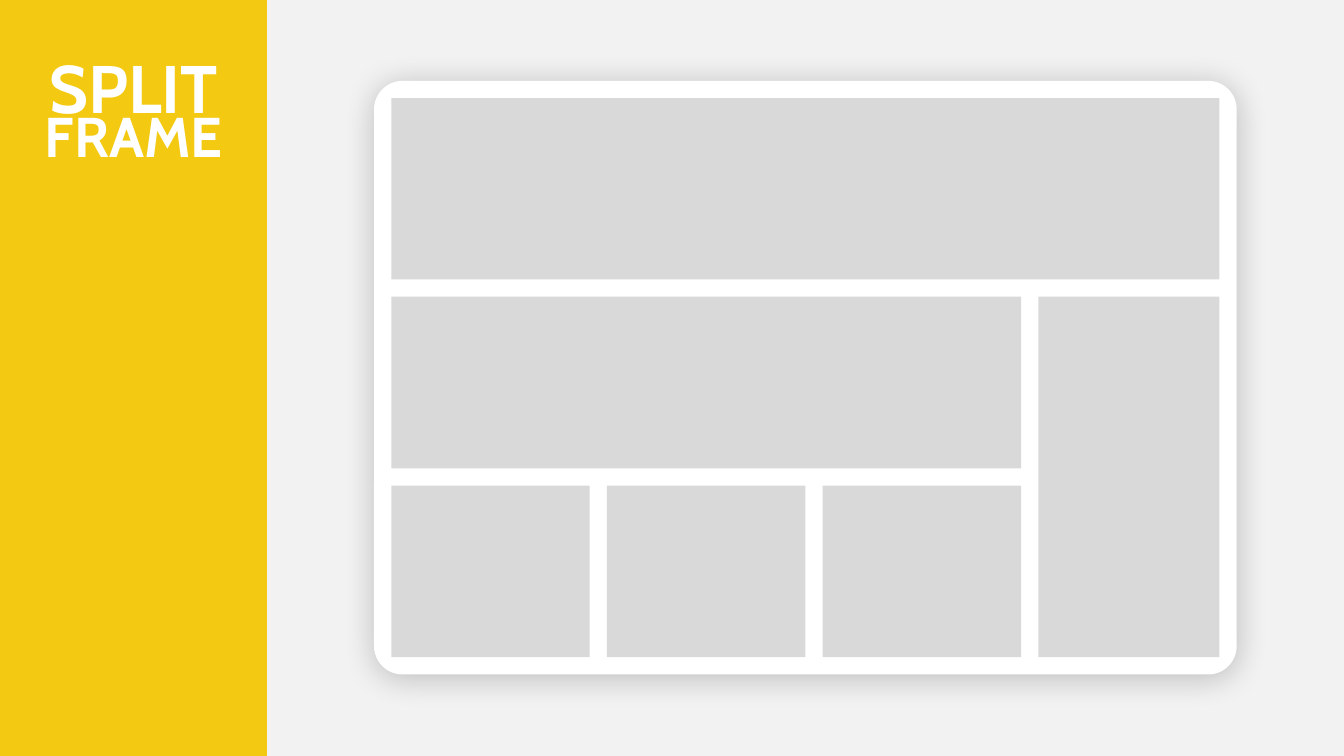
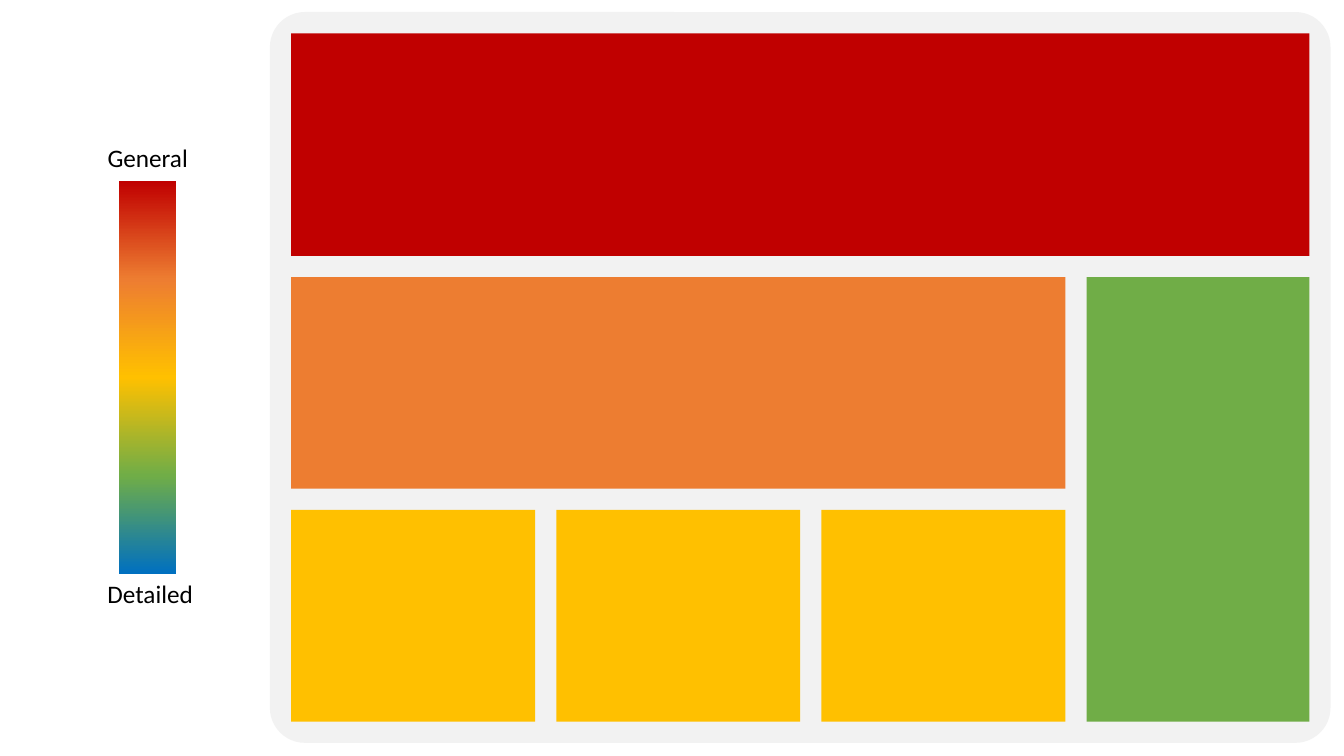
from lxml.etree import SubElement
from pptx import Presentation
from pptx.dml.color import RGBColor
from pptx.enum.shapes import MSO_SHAPE as SHAPE
from pptx.enum.text import MSO_ANCHOR as ANCHOR, MSO_AUTO_SIZE as AUTO, PP_ALIGN as ALIGN
from pptx.oxml.ns import qn
from pptx.util import Pt

WHITE = RGBColor(0xFF, 0xFF, 0xFF)
BLACK = RGBColor(0x00, 0x00, 0x00)
YELLOW = RGBColor(0xF3, 0xC9, 0x11)
PALE = RGBColor(0xF2, 0xF2, 0xF2)
GREY = RGBColor(0xD9, 0xD9, 0xD9)
RED = RGBColor(0xC0, 0x00, 0x00)
ORANGE = RGBColor(0xED, 0x7D, 0x31)
AMBER = RGBColor(0xFF, 0xC0, 0x00)
GREEN = RGBColor(0x70, 0xAD, 0x47)
BLUE = RGBColor(0x00, 0x70, 0xC0)

SLIDE_W, SLIDE_H = 960, 540
BAND_W = 190.8
TITLE_FONT, BODY_FONT = "Cabin", "Calibri"
TITLE_ONLY, BLANK = 5, 6


def add_box(slide, x, y, w, h, color, kind=SHAPE.RECTANGLE):
    sp = slide.shapes.add_shape(kind, Pt(x), Pt(y), Pt(w), Pt(h))
    sp.shadow.inherit = False
    sp.fill.solid()
    sp.fill.fore_color.rgb = color
    sp.line.fill.background()
    return sp


def add_run(p, text, size, font, color, bold=False):
    p.alignment = ALIGN.CENTER
    r = p.add_run()
    r.text = text
    r.font.size, r.font.name, r.font.bold = Pt(size), font, bold
    r.font.color.rgb = color


def add_color(parent, color, alpha=None):
    clr = SubElement(parent, qn("a:srgbClr"), val=str(color))
    if alpha is not None:
        SubElement(clr, qn("a:alpha"), val=str(alpha * 1000))


def add_soft_shadow(sp, blur, dist, angle, alpha):
    effects = sp._element.spPr.find(qn("a:effectLst"))
    shadow = SubElement(effects, qn("a:outerShdw"), blurRad=str(Pt(blur)), dist=str(Pt(dist)),
                        dir=str(angle * 60000), algn="t", rotWithShape="0")
    add_color(shadow, BLACK, alpha)


def set_gradient(sp, colors):
    """Spread the colours evenly from top to bottom."""
    sp.fill.gradient()
    sp.fill.gradient_angle = 270
    stops = sp._element.spPr.find(".//" + qn("a:gsLst"))
    stops.clear()
    for i, color in enumerate(colors):
        pos = 100000 * i // (len(colors) - 1)
        add_color(SubElement(stops, qn("a:gs"), pos=str(pos)), color)


def add_split_frame(slide, x, y, w, h, panel, top, middle, bottom, side):
    """Rounded panel: top row, side column, middle row and three bottom cells."""
    frame = add_box(slide, x, y, w, h, panel, SHAPE.ROUNDED_RECTANGLE)
    frame.adjustments[0] = 0.048
    gap, side_w = 0.02 * w, 0.21 * w
    top_h = side_w
    row_h = (h - 4 * gap - top_h) / 2
    main_w = w - 3 * gap - side_w
    cell_w = (main_w - 2 * gap) / 3
    left, row1 = x + gap, y + gap
    row2 = row1 + top_h + gap
    row3 = row2 + row_h + gap

    add_box(slide, left, row1, w - 2 * gap, top_h, top)
    add_box(slide, left + main_w + gap, row2, side_w, 2 * row_h + gap, side)
    add_box(slide, left, row2, main_w, row_h, middle)
    for i in range(3):
        add_box(slide, left + i * (cell_w + gap), row3, cell_w, row_h, bottom)
    return frame


def place_title(slide, x, y, w, h):
    title = slide.shapes.title
    title.left, title.top, title.width, title.height = Pt(x), Pt(y), Pt(w), Pt(h)
    tf = title.text_frame
    tf.word_wrap, tf.auto_size = True, AUTO.NONE
    tf.vertical_anchor = ANCHOR.TOP
    add_run(tf.paragraphs[0], "SPLIT", 48, TITLE_FONT, WHITE, True)
    p = tf.add_paragraph()
    p.line_spacing, p.space_before = Pt(30), Pt(0)
    add_run(p, "FRAME", 40, TITLE_FONT, WHITE, True)
    # Bring the title in front of the band
    title._element.getparent().append(title._element)


def add_label(slide, x, y, w, h, text):
    tf = slide.shapes.add_textbox(Pt(x), Pt(y), Pt(w), Pt(h)).text_frame
    tf.word_wrap = False
    add_run(tf.paragraphs[0], text, 18, BODY_FONT, BLACK)


def add_scale(slide, x, y, w, h):
    """Gradient bar with a label at each end."""
    bar = add_box(slide, x, y, w, h, RED)
    set_gradient(bar, [RED, ORANGE, AMBER, GREEN, BLUE])
    add_label(slide, x - 16, y - 31, 73, 29, "General")
    add_label(slide, x - 16, y + h, 76.5, 29, "Detailed")


def build_cover(prs):
    slide = prs.slides.add_slide(prs.slide_layouts[TITLE_ONLY])
    add_box(slide, 0, 0, BAND_W, SLIDE_H, YELLOW)
    add_box(slide, BAND_W, 0, SLIDE_W - BAND_W, SLIDE_H, PALE)
    frame = add_split_frame(slide, 267.2, 57.8, 616.2, 424, WHITE, GREY, GREY, GREY, GREY)
    add_soft_shadow(frame, blur=23, dist=3, angle=83, alpha=22)
    place_title(slide, 0, 29.5, BAND_W, 96)


def build_reading_order(prs):
    slide = prs.slides.add_slide(prs.slide_layouts[BLANK])
    add_split_frame(slide, 192.8, 8.6, 757.6, 522, PALE, RED, ORANGE, AMBER, GREEN)
    add_scale(slide, 85, 129.4, 40.6, 280.4)


def main():
    prs = Presentation()
    prs.slide_width, prs.slide_height = Pt(SLIDE_W), Pt(SLIDE_H)
    build_cover(prs)
    build_reading_order(prs)
    prs.save("out.pptx")


if __name__ == "__main__":
    main()
